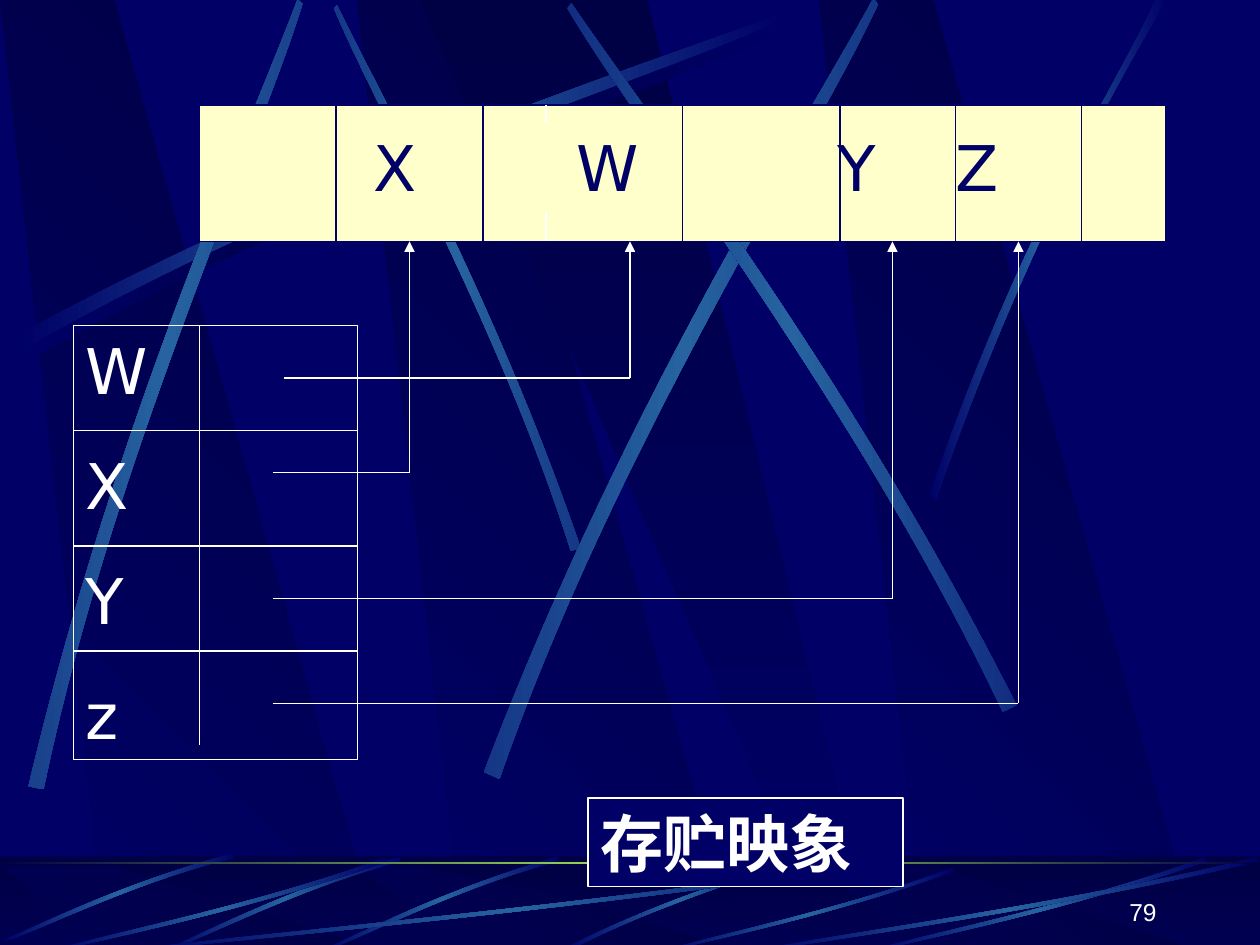
from lxml import etree
from pptx import Presentation
from pptx.dml.color import RGBColor
from pptx.enum.shapes import MSO_CONNECTOR, MSO_SHAPE
from pptx.enum.text import MSO_ANCHOR, MSO_AUTO_SIZE, PP_ALIGN
from pptx.oxml.ns import qn
from pptx.util import Pt

RECT = MSO_SHAPE.RECTANGLE
STRAIGHT = MSO_CONNECTOR.STRAIGHT
LEFT, RIGHT = PP_ALIGN.LEFT, PP_ALIGN.RIGHT
TOP, BOTTOM = MSO_ANCHOR.TOP, MSO_ANCHOR.BOTTOM

COLORS = {
    "navy": "000066", "dark": "000044", "blue": "2663A0",
    "green": "9CE157", "cream": "FFFFCC", "white": "FFFFFF",
}
SHADE = ["dark", "navy"]
GLOW = ["navy", "blue", "navy"]
SLAB_XS = (204, 0, 468)

# Outlines as fractions of their box
SLAB = [(0.28, 1), (1, 1), (0.3, 0), (0, 0)]
WIDE_SLAB = [(0, 0), (0.9, 1), (1, 1), (0.5, 0)]
# Two Bezier edges of a streak, four control points each
STREAK = [(0, 0.96), (0.43, 0.43), (0.83, 0.15), (1, 0),
          (1, 0.02), (0.84, 0.19), (0.39, 0.5), (0.01, 1)]
STEEP = [(0, 0.99), (0.4, 0.44), (0.79, 0.17), (0.95, 0),
         (1, 0), (0.52, 0.37), (0.16, 0.81), (0.03, 1)]


def rgb(name):
    return RGBColor.from_string(COLORS[name])


def gradient(sp, names, angle):
    """Fill a shape with evenly spaced colour stops."""
    sp.fill.gradient()
    sp.fill.gradient_angle = -angle % 360
    grad = sp._element.spPr.find(qn("a:gradFill"))
    grad.set("rotWithShape", "0")
    stops = grad.find(qn("a:gsLst"))
    for stop in list(stops):
        stops.remove(stop)
    for i, name in enumerate(names):
        pos = 100000 * i // (len(names) - 1)
        gs = etree.SubElement(stops, qn("a:gs"), pos=str(pos))
        etree.SubElement(gs, qn("a:srgbClr"), val=COLORS[name])


def box(s, x, y, w, h, fill=None, line=None, width=0.75):
    sp = s.shapes.add_shape(RECT, Pt(x), Pt(y), Pt(w), Pt(h))
    sp.shadow.inherit = False
    if fill:
        sp.fill.solid()
        sp.fill.fore_color.rgb = rgb(fill)
    else:
        sp.fill.background()
    if line:
        sp.line.color.rgb = rgb(line)
        sp.line.width = Pt(width)
    else:
        sp.line.fill.background()
    return sp


def outline(s, frame, points, names, angle):
    x, y, w, h = frame
    pts = [(Pt(x + w * u), Pt(y + h * v)) for u, v in points]
    fb = s.shapes.build_freeform(*pts[0], scale=1.0)
    fb.add_line_segments(pts[1:], close=True)
    sp = fb.convert_to_shape()
    sp.shadow.inherit = False
    sp.line.fill.background()
    gradient(sp, names, angle)
    return sp


def streak(s, frame, rot=0, flip_h=False, flip_v=False, names=GLOW,
           edges=STREAK):
    points = [(1 - u if flip_h else u, 1 - v if flip_v else v)
              for u, v in edges]
    sp = outline(s, frame, points, names, 180)
    sp.rotation = rot
    # Turn the three segments of each edge into one curve
    segments = list(sp._element.iter(qn("a:lnTo")))
    for edge in (segments[:3], segments[4:]):
        curve = etree.Element(qn("a:cubicBezTo"))
        edge[0].addprevious(curve)
        for segment in edge:
            curve.append(segment[0])
            segment.getparent().remove(segment)


def slabs(s, y, h):
    for x in SLAB_XS:
        outline(s, (x, y, 217.5, h), SLAB, SHADE, 135)
    outline(s, (240, y, 260, h), WIDE_SLAB, SHADE, 90)


def line(s, x1, y1, x2, y2, color="white", arrow=False):
    cn = s.shapes.add_connector(STRAIGHT, Pt(x1), Pt(y1), Pt(x2), Pt(y2))
    cn.line.color.rgb = rgb(color)
    cn.line.width = Pt(0.75)
    if arrow:
        ln = cn._element.spPr.find(qn("a:ln"))
        etree.SubElement(ln, qn("a:tailEnd"), type="triangle")
    etree.SubElement(cn._element.spPr, qn("a:effectLst"))


def write(sp, paragraphs, size, font, color, bold=False, before=0,
          align=LEFT, anchor=TOP, tabs=()):
    tf = sp.text_frame
    tf.word_wrap = True
    tf.vertical_anchor = anchor
    for i, text in enumerate(paragraphs):
        p = tf.paragraphs[0] if i == 0 else tf.add_paragraph()
        p.alignment = align
        if before:
            p.space_before = Pt(before)
        if tabs:
            tab_list = etree.SubElement(p._p.get_or_add_pPr(), qn("a:tabLst"))
            for pos in tabs:
                etree.SubElement(tab_list, qn("a:tab"), pos=str(Pt(pos)),
                                 algn="l")
        r = p.add_run()
        r.text = text
        r.font.size, r.font.name, r.font.bold = Pt(size), font, bold
        r.font.color.rgb = rgb(color)
        ea = etree.SubElement(r._r.get_or_add_rPr(), qn("a:ea"))
        ea.set("typeface", font)


def backdrop(prs, s):
    """Draw the scenery as one group and hand it to the slide master."""
    s.background.fill.solid()
    s.background.fill.fore_color.rgb = rgb("navy")
    grp = s.shapes.add_group_shape()
    # Wall with streaks
    slabs(grp, 0, 541)
    streak(grp, (14, 13, 438, 192), names=["navy", "dark", "navy"])
    streak(grp, (101.5, 97, 318, 126), 45, flip_h=True)
    streak(grp, (10, 7, 438, 192))
    streak(grp, (-123, 131, 438, 192), 311.7)
    streak(grp, (166, 115, 449, 217), 321.6)
    streak(grp, (232.5, 109.5, 438, 192), 34.8, flip_h=True)
    streak(grp, (531, 0, 136, 286), edges=STEEP)
    # Floor with streaks
    gradient(box(grp, 0, 490, 720, 54, "navy"), SHADE, 90)
    slabs(grp, 495, 48)
    veil = box(grp, 0, 489, 720, 54, "dark")
    clr = veil._element.spPr.find(qn("a:solidFill"))[0]
    etree.SubElement(clr, qn("a:alpha"), val="50000")
    streak(grp, (322.5, 491, 130, 53))
    for frame in ((186, 487, 132.5, 60), (96, 487, 132.5, 60),
                  (3.5, 483, 129, 61)):
        streak(grp, frame, 314.9, flip_h=True)
    for x, y, w in ((72, 490, 444), (30, 490, 192), (379.5, 496, 166),
                    (498, 490, 192), (432, 490, 288)):
        streak(grp, (x, y, w, 544 - y), flip_h=True, flip_v=True)
    # Horizon
    gradient(box(grp, 0, 492.5, 720, 1.5, "dark"),
             ["dark", "green", "dark"], 180)
    # Keep ids unique on the master
    for i, props in enumerate(grp._element.iter(qn("p:cNvPr"))):
        props.set("id", str(100 + i))
    prs.slide_master.shapes._spTree.insert(2, grp._element)


def main():
    prs = Presentation()
    prs.slide_width, prs.slide_height = Pt(720), Pt(540)
    s = prs.slides.add_slide(prs.slide_layouts[6])
    backdrop(prs, s)

    # Caption
    sp = box(s, 336, 456, 180, 50.5, "navy", "white")
    write(sp, ["存贮映象"], 36, "Noto Sans CJK JP", "white", bold=True)
    sp.text_frame.auto_size = MSO_AUTO_SIZE.SHAPE_TO_FIT_TEXT

    # Memory strip
    top, bottom = 60, 138
    box(s, 114, top, 552, bottom - top, "cream", "navy")
    line(s, 312, top, 312, bottom)
    sp = box(s, 126, 70, 522, 50.5, "cream")
    write(sp, ["\tX\tW\tY\tZ"], 36, "DejaVu Sans", "navy", before=22.5,
          tabs=(80.5, 196.5, 345.5, 413))

    # Pointer table
    sp = box(s, 42, 186, 162, 248, line="white", width=0.25)
    write(sp, ["W", "X", "Y", "z"], 36, "DejaVu Sans", "white", before=22.5)
    for y in (246, 312, 372):
        line(s, 42, y, 204, y)
    line(s, 114, 186, 114, 426)

    # Pointers from the table to the strip
    for x1, y, x2 in ((162, 216, 360), (156, 270, 234),
                      (156, 342, 510), (156, 402, 582)):
        line(s, x1, y, x2, y)
        line(s, x2, y, x2, bottom, arrow=True)

    # Cell borders of the strip
    for x in (192, 276, 390, 480, 546, 618):
        line(s, x, top, x, bottom, "navy")

    # Page number
    sp = s.shapes.add_textbox(Pt(518), Pt(497), Pt(150), Pt(36))
    write(sp, ["79"], 14, "Arial", "white", align=RIGHT, anchor=BOTTOM)

    prs.save("out.pptx")


if __name__ == "__main__":
    main()
